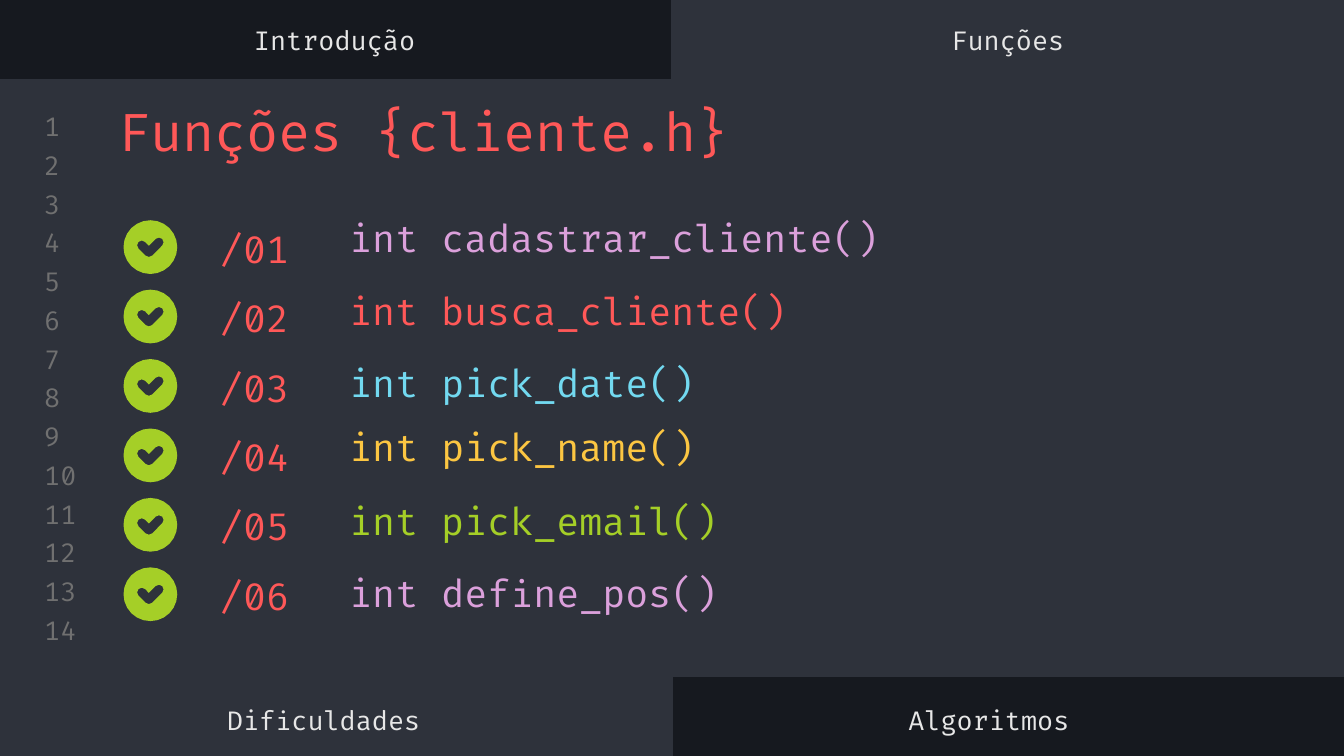
import math
from typing import NamedTuple

import pptx
import pptx.dml.color
import pptx.enum.shapes
import pptx.enum.text
import pptx.util

Pt = pptx.util.Pt
ALIGN = pptx.enum.text.PP_ALIGN
ANCHOR = pptx.enum.text.MSO_ANCHOR

FONT = "Fira Code"
COLORS = {
    "dark": "16191F",
    "panel": "2E323B",
    "number": "707070",
    "light": "E7E7E7",
    "red": "FF5858",
    "pink": "DBA0DB",
    "blue": "72D9F0",
    "yellow": "FCC642",
    "green": "A5CF27",
}
ROW_PITCH = 37.2
NUMBER_PITCH = 20.75


class Box(NamedTuple):
    x: float
    y: float
    w: float
    h: float


class Tab(NamedTuple):
    text: str
    box: Box
    align: ALIGN


class Function(NamedTuple):
    text: str
    color: str
    box: Box


PANELS = [
    Box(360, 0, 360, 46.8),
    Box(0, 358.4, 360, 46.6),
    Box(0, 42.5, 720, 319.7),
]
TABS = [
    Tab("Introdução", Box(-0.7, 7.2, 360, 28.1), ALIGN.CENTER),
    Tab("Funções", Box(360, 7.2, 360, 28.1), ALIGN.CENTER),
    Tab("Dificuldades", Box(114.5, 371.5, 383, 28.1), ALIGN.LEFT),
    Tab("Algoritmos", Box(479.5, 371.5, 383, 28.1), ALIGN.LEFT),
]
FUNCTIONS = [
    Function("int cadastrar_cliente()", "pink", Box(180, 102.2, 337, 50.4)),
    Function("int busca_cliente()", "red", Box(180, 150.5, 299, 31.7)),
    Function("int pick_date()", "blue", Box(180, 185.8, 317.5, 38.2)),
    Function("int pick_name()", "yellow", Box(180, 224.6, 337, 28.8)),
    Function("int pick_email()", "green", Box(180, 264.2, 327, 29.5)),
    Function("int define_pos()", "pink", Box(180, 302.4, 300, 30.2)),
]


def rgb(name: str) -> pptx.dml.color.RGBColor:
    return pptx.dml.color.RGBColor.from_string(COLORS[name])


def add_panel(s, box: Box) -> None:
    sp = s.shapes.add_shape(
        pptx.enum.shapes.MSO_SHAPE.RECTANGLE, *(Pt(v) for v in box)
    )
    sp.shadow.inherit = False
    sp.fill.solid()
    sp.fill.fore_color.rgb = rgb("panel")
    sp.line.color.rgb = rgb("panel")
    sp.line.width = Pt(0.75)


def add_text(s, text: str, box: Box, *, size: float, color: str,
             align: ALIGN = ALIGN.LEFT, anchor: ANCHOR = ANCHOR.MIDDLE) -> None:
    tf = s.shapes.add_textbox(*(Pt(v) for v in box)).text_frame
    tf.word_wrap = True
    tf.vertical_anchor = anchor
    tf.margin_left = tf.margin_right = tf.margin_top = tf.margin_bottom = Pt(7.2)
    p = tf.paragraphs[0]
    p.alignment = align
    r = p.add_run()
    r.text = text
    r.font.name = FONT
    r.font.size = Pt(size)
    r.font.color.rgb = rgb(color)


def arc(x: float, y: float, radius: float, start: int, end: int, step: int) -> list:
    angles = [math.radians(a) for a in range(start, end + 1, step)]
    return [(Pt(x + radius * math.cos(a)), Pt(y + radius * math.sin(a)))
            for a in angles]


def add_check(s, x: float, y: float) -> None:
    circle = arc(x + 14.4, y + 14.4, 14.4, 0, 345, 15)
    radius = 2.5
    vx, vy = x + 13.6, y + 17.2
    tick = [
        *arc(vx, vy, radius, 45, 135, 45),
        *arc(vx - 3.8, vy - 3.8, radius, 135, 315, 45),
        (Pt(vx), Pt(vy - radius * math.sqrt(2))),
        *arc(vx + 5.4, vy - 5.4, radius, 225, 405, 45),
    ]
    builder = s.shapes.build_freeform(*circle[0])
    builder.add_line_segments(circle[1:], close=True)
    builder.move_to(*tick[0])
    builder.add_line_segments(tick[1:], close=True)
    sp = builder.convert_to_shape()
    sp.shadow.inherit = False
    sp.fill.solid()
    sp.fill.fore_color.rgb = rgb("green")
    sp.line.fill.background()


def main() -> None:
    prs = pptx.Presentation()
    prs.slide_width, prs.slide_height = Pt(720), Pt(405)
    s = prs.slides.add_slide(prs.slide_layouts[6])
    s.background.fill.solid()
    s.background.fill.fore_color.rgb = rgb("dark")

    for panel in PANELS:
        add_panel(s, panel)
    for i in range(14):
        add_text(s, str(i + 1), Box(16.6, 59 + i * NUMBER_PITCH, 33.8, 17.3),
                 size=14, color="number")
    add_text(s, "Funções {cliente.h}", Box(56.2, 46.1, 607.7, 45.4),
             size=28, color="red", anchor=ANCHOR.TOP)
    for tab in TABS:
        add_text(s, tab.text, tab.box, size=14, color="light", align=tab.align)
    for i, function in enumerate(FUNCTIONS):
        offset = i * ROW_PITCH
        add_check(s, 66.2, 118 + offset)
        add_text(s, f"/{i + 1:02}", Box(110.9, 113.8 + offset, 69.8, 37.4),
                 size=20, color="red", anchor=ANCHOR.TOP)
        add_text(s, function.text, function.box, size=20, color=function.color)

    prs.save("out.pptx")


if __name__ == "__main__":
    main()
